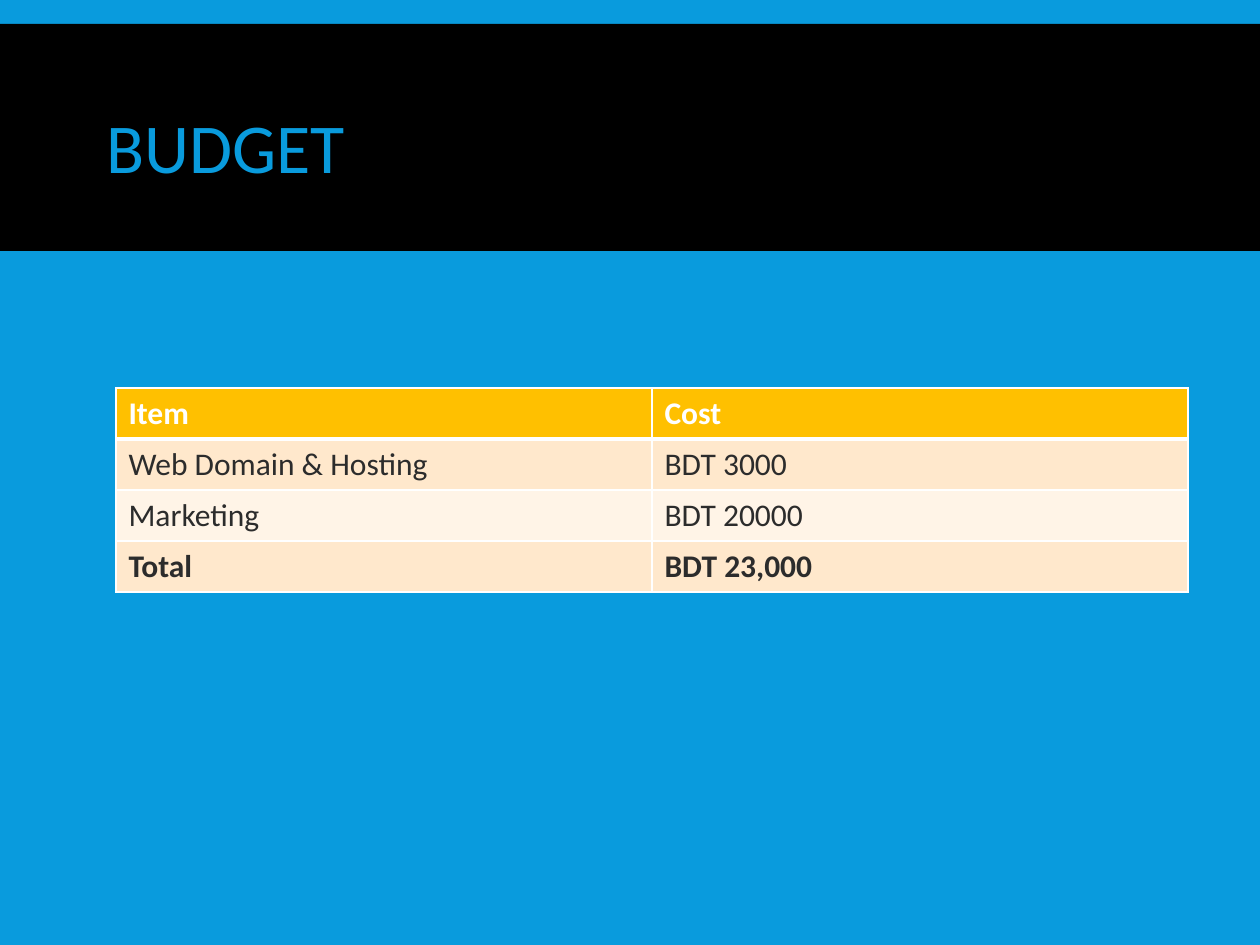
from dataclasses import dataclass

from lxml import etree
from pptx import Presentation
from pptx.dml.color import RGBColor
from pptx.enum.shapes import MSO_SHAPE
from pptx.enum.text import MSO_ANCHOR
from pptx.oxml.ns import qn
from pptx.util import Emu, Pt

RECT = MSO_SHAPE.RECTANGLE
MIDDLE = MSO_ANCHOR.MIDDLE
SCALE = 914400 / 126

BUDGET = [
    ("Item", "Cost"),
    ("Web Domain & Hosting", "BDT 3000"),
    ("Marketing", "BDT 20000"),
    ("Total", "BDT 23,000"),
]


@dataclass(frozen=True)
class Theme:
    font: str = "Calibri"
    blue: str = "099BDD"
    black: str = "000000"
    white: str = "FFFFFF"
    ink: str = "2C2C2C"
    gold: str = "FFC000"
    bands: tuple = ("FFE8CC", "FFF4E7")
    title: int = 40
    body: int = 18
    thin: float = 0.96
    thick: float = 3


THEME = Theme()


def px(n):
    return Emu(round(n * SCALE))


def paint(fill, color):
    fill.solid()
    fill.fore_color.rgb = RGBColor.from_string(color)


def add_run(para, text, size, color, bold=False):
    run = para.add_run()
    run.text = text
    font = run.font
    font.name = THEME.font
    font.size = Pt(size)
    font.bold = bold
    font.color.rgb = RGBColor.from_string(color)


def add_band(slide, left, top, width, height):
    band = slide.shapes.add_shape(RECT, px(left), px(top), px(width), px(height))
    band.shadow.inherit = False
    paint(band.fill, THEME.black)
    band.line.fill.background()


def add_title(slide, text, left, top, width, height):
    box = slide.shapes.add_textbox(px(left), px(top), px(width), px(height))
    frame = box.text_frame
    frame.word_wrap = True
    frame.vertical_anchor = MIDDLE
    para = frame.paragraphs[0]
    para.line_spacing = 0.85
    add_run(para, text, THEME.title, THEME.blue)


def set_edges(cell, top, bottom):
    """Draw white borders; top and bottom are widths in points."""
    props = cell._tc.get_or_add_tcPr()
    widths = {"L": THEME.thin, "R": THEME.thin, "T": top, "B": bottom}
    for i, (side, width) in enumerate(widths.items()):
        line = etree.Element(qn(f"a:ln{side}"), w=str(Pt(width)))
        fill = etree.SubElement(line, qn("a:solidFill"))
        etree.SubElement(fill, qn("a:srgbClr"), val=THEME.white)
        props.insert(i, line)


def add_budget(slide, rows, left, top, col_width, row_height):
    """Add a table with a header row, banded body rows and a bold last row."""
    count, cols = len(rows), len(rows[0])
    frame = slide.shapes.add_table(count, cols, px(left), px(top),
                                   px(col_width * cols), px(row_height * count))
    table = frame.table
    for col in table.columns:
        col.width = px(col_width)
    for r, values in enumerate(rows):
        table.rows[r].height = px(row_height)
        head = r == 0
        back = THEME.gold if head else THEME.bands[(r - 1) % 2]
        ink = THEME.white if head else THEME.ink
        upper = THEME.thick if r == 1 else THEME.thin
        lower = THEME.thick if head else THEME.thin
        for c, text in enumerate(values):
            cell = table.cell(r, c)
            paint(cell.fill, back)
            set_edges(cell, upper, lower)
            add_run(cell.text_frame.paragraphs[0], text, THEME.body, ink,
                    bold=r in (0, count - 1))


def main():
    deck = Presentation()
    deck.slide_width, deck.slide_height = px(1260), px(945)
    slide = deck.slides.add_slide(deck.slide_layouts[6])
    paint(slide.background.fill, THEME.blue)
    add_band(slide, 0, 24, 1260, 227)
    add_title(slide, "BUDGET", 94, 73, 1071, 158)
    add_budget(slide, BUDGET, 116, 388, 536, 51)
    deck.save("out.pptx")


if __name__ == "__main__":
    main()
